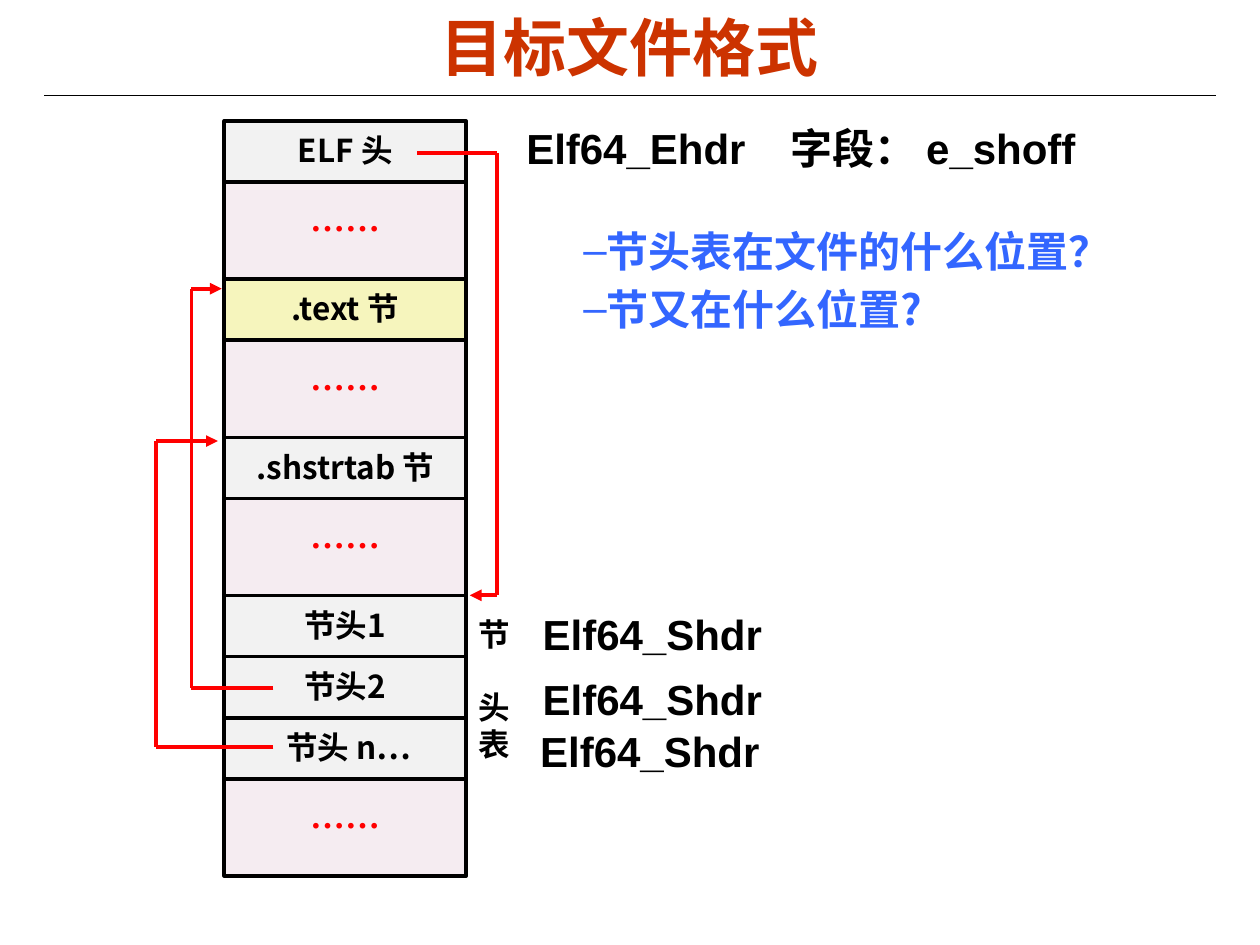
from itertools import pairwise

from lxml.etree import SubElement
from pptx import Presentation
from pptx.dml.color import RGBColor
from pptx.enum.shapes import MSO_CONNECTOR as Connector, MSO_SHAPE as Shape
from pptx.enum.text import MSO_ANCHOR as Anchor, PP_ALIGN as Align
from pptx.oxml.ns import qn
from pptx.util import Cm, Pt

COLORS = {
    "title": "CC3300", "ink": "000000", "dots": "FF0000", "arrow": "FF0000",
    "question": "3366FF", "known": "F2F2F2", "text": "F6F5BD", "gap": "993366",
}
LATIN, CJK = "Arial", "Noto Sans CJK SC"
TITLE = "目标文件格式"
SECTIONS = [
    ("ELF 头", "known"), ("……", "gap"), (".text 节", "text"), ("……", "gap"),
    (".shstrtab 节", "known"), ("……", "gap"), ("节头1", "known"),
    ("节头2", "known"), (" 节头 n…", "known"), ("……", "gap"),
]
FILE_LEFT, FILE_TOP, FILE_WIDTH = 4.52, 2.44, 4.88
HEIGHTS = {"known": 1.23, "text": 1.23, "gap": 1.96}
GAP_OPACITY = "9000"

HEADER_FIELD = "Elf64_Ehdr\t字段： e_shoff"
FIELD_TAB = 5.33
ENTRIES = [("Elf64_Shdr", 10.69, 12.14), ("Elf64_Shdr", 10.69, 13.46),
           ("Elf64_Shdr", 10.64, 14.5)]
TABLE_NAME = ["节", "头", "表"]
QUESTIONS = ["节头表在文件的什么位置？", "节又在什么位置?"]
POINTERS = [
    [(8.41, 3.08), (10.01, 3.08), (10.01, 12), (9.47, 12)],
    [(5.51, 13.87), (3.86, 13.87), (3.86, 5.82), (4.47, 5.82)],
    [(5.51, 15.06), (3.15, 15.06), (3.15, 8.89), (4.39, 8.89)],
]


def rgb(name):
    return RGBColor.from_string(COLORS[name])


def style(para, size, color, font=CJK):
    for span in para.runs:
        span.font.size = Pt(size)
        span.font.bold = True
        span.font.name = font
        span.font.color.rgb = rgb(color)
        SubElement(span.font._element, qn("a:ea"), typeface=CJK)


def add_text(page, lines, place, size, color, font=CJK):
    box = page.shapes.add_textbox(*(Cm(value) for value in place))
    frame = box.text_frame
    frame.word_wrap = True
    frame.text = "\n".join(lines)
    for para in frame.paragraphs:
        style(para, size, color, font)
    return frame


def add_line(shapes, start, end, color, width, arrow=False):
    line = shapes.add_connector(
        Connector.STRAIGHT, *(Cm(value) for value in start + end))
    line.line.color.rgb = rgb(color)
    line.line.width = Pt(width)
    if arrow:
        SubElement(line.line._get_or_add_ln(), qn("a:tailEnd"), type="triangle")
    SubElement(line._element.spPr, qn("a:effectLst"))


def add_section(page, label, kind, top):
    box = page.shapes.add_shape(
        Shape.RECTANGLE, Cm(FILE_LEFT), Cm(top), Cm(FILE_WIDTH), Cm(HEIGHTS[kind]))
    box.shadow.inherit = False
    box.fill.solid()
    box.fill.fore_color.rgb = rgb(kind)
    box.line.color.rgb = rgb("ink")
    box.line.width = Pt(2)
    frame = box.text_frame
    frame.word_wrap = False
    frame.vertical_anchor = Anchor.MIDDLE
    frame.text = label
    para = frame.paragraphs[0]
    para.alignment = Align.CENTER
    para.line_spacing = 0.98
    if kind == "gap":
        solid = box._element.spPr.find(qn("a:solidFill"))
        SubElement(solid[0], qn("a:alpha"), val=GAP_OPACITY)
        style(para, 20, "dots")
    else:
        style(para, 18, "ink")


def add_file(page):
    top = FILE_TOP
    for label, kind in SECTIONS:
        add_section(page, label, kind, top)
        top += HEIGHTS[kind]


def add_pointer(page, points):
    group = page.shapes.add_group_shape()
    for start, end in pairwise(points):
        add_line(group.shapes, start, end, "arrow", 2.25, end == points[-1])


def add_title(page):
    frame = add_text(page, [TITLE], (1.27, 0.15, 22.86, 1.55), 36, "title", LATIN)
    frame.vertical_anchor = Anchor.MIDDLE
    frame.paragraphs[0].alignment = Align.CENTER
    add_line(page.shapes, (0.89, 1.93), (24.51, 1.93), "ink", 0.75)


def add_notes_beside_file(page):
    field = add_text(page, [HEADER_FIELD], (10.36, 2.34, 13.77, 1.27), 24, "ink", LATIN)
    tabs = SubElement(field.paragraphs[0]._p.get_or_add_pPr(), qn("a:tabLst"))
    SubElement(tabs, qn("a:tab"), pos=str(Cm(FIELD_TAB)), algn="l")

    for name, left, top in ENTRIES:
        add_text(page, [name], (left, top, 6.76, 1.27), 24, "ink", LATIN)

    table_name = add_text(page, TABLE_NAME, (9.4, 12.29, 1.7, 3.28), 18, "ink")
    for para in table_name.paragraphs:
        para.line_spacing = Pt(21)
    table_name.paragraphs[1].space_before = Pt(21)

    questions = add_text(page, QUESTIONS, (11.51, 4.27, 12.62, 3.07), 24, "question")
    for para in questions.paragraphs:
        para.line_spacing = Pt(33)
        props = para._p.get_or_add_pPr()
        props.set("marL", "0")
        props.set("indent", "0")
        SubElement(props, qn("a:buFont"), typeface=LATIN)
        SubElement(props, qn("a:buChar"), char="–")


def main():
    deck = Presentation()
    deck.slide_width, deck.slide_height = Cm(25.4), Cm(19.05)
    page = deck.slides.add_slide(deck.slide_layouts[6])
    add_title(page)
    add_file(page)
    add_notes_beside_file(page)
    for points in POINTERS:
        add_pointer(page, points)
    deck.save("out.pptx")


if __name__ == "__main__":
    main()
